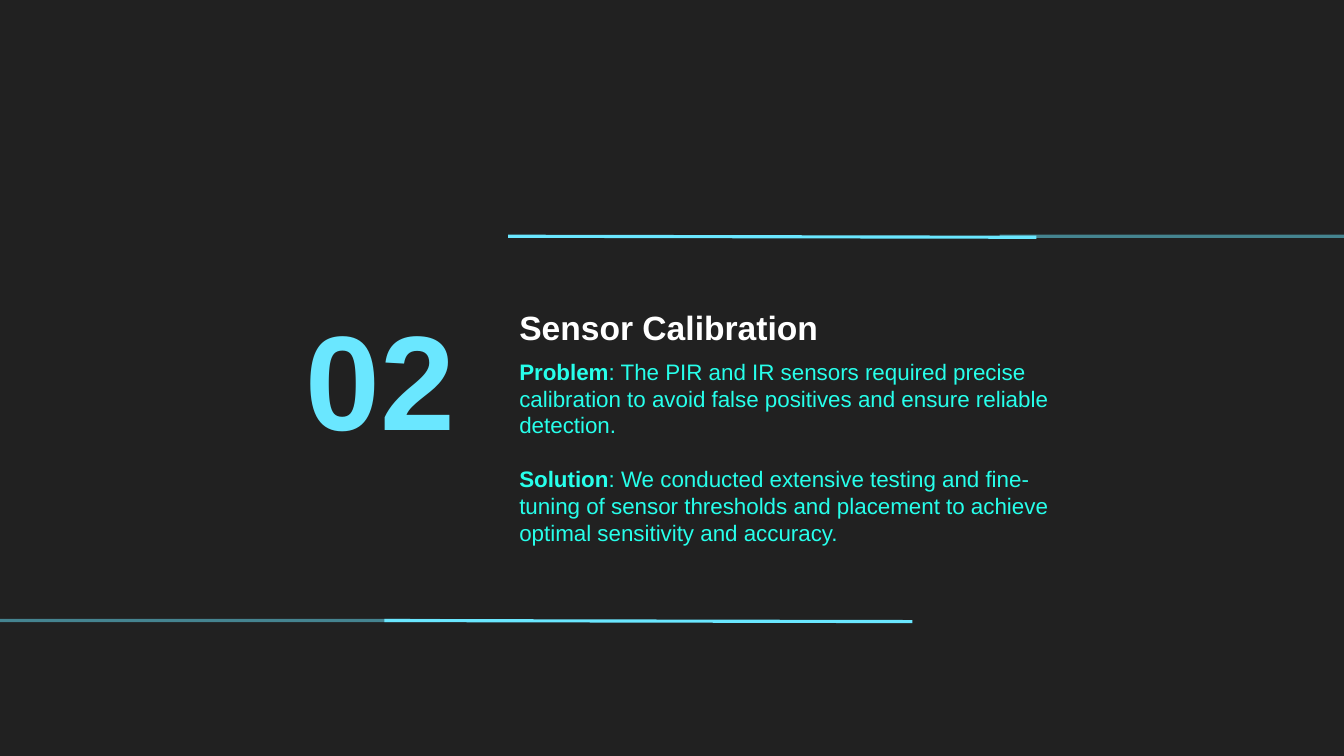
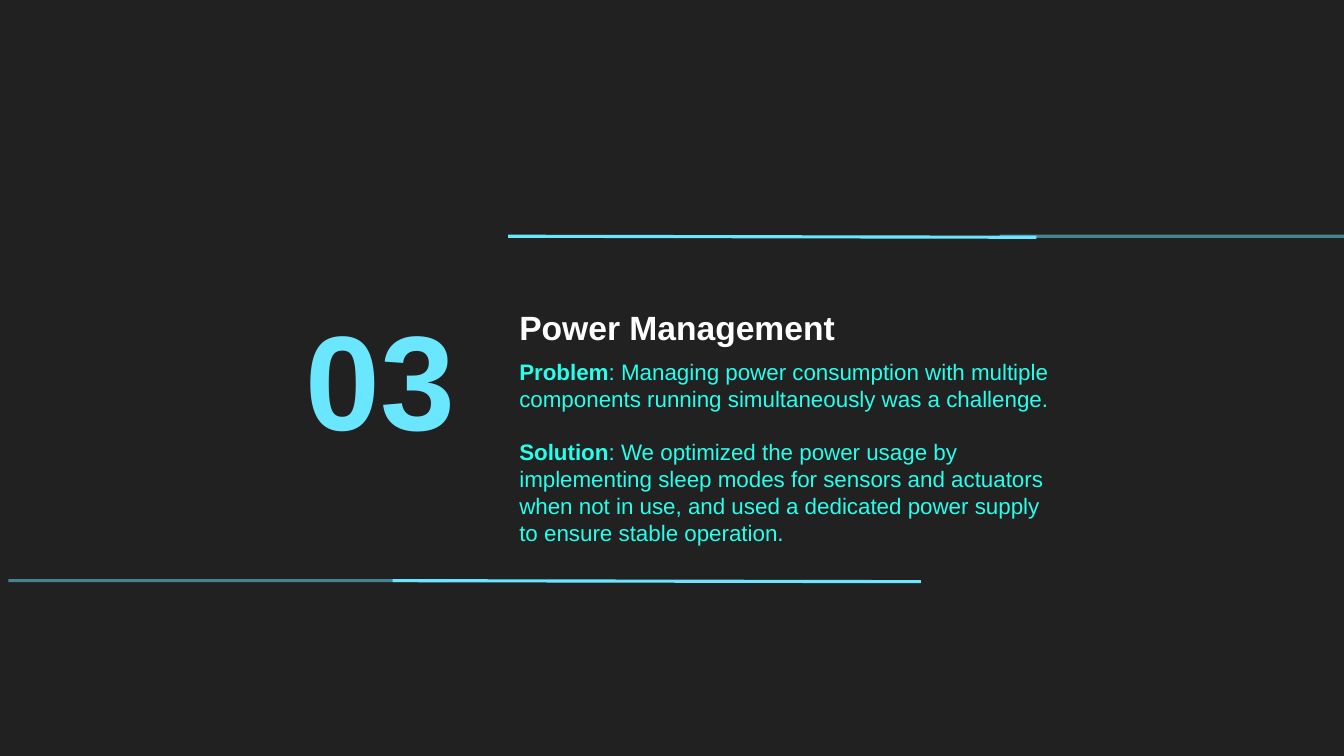
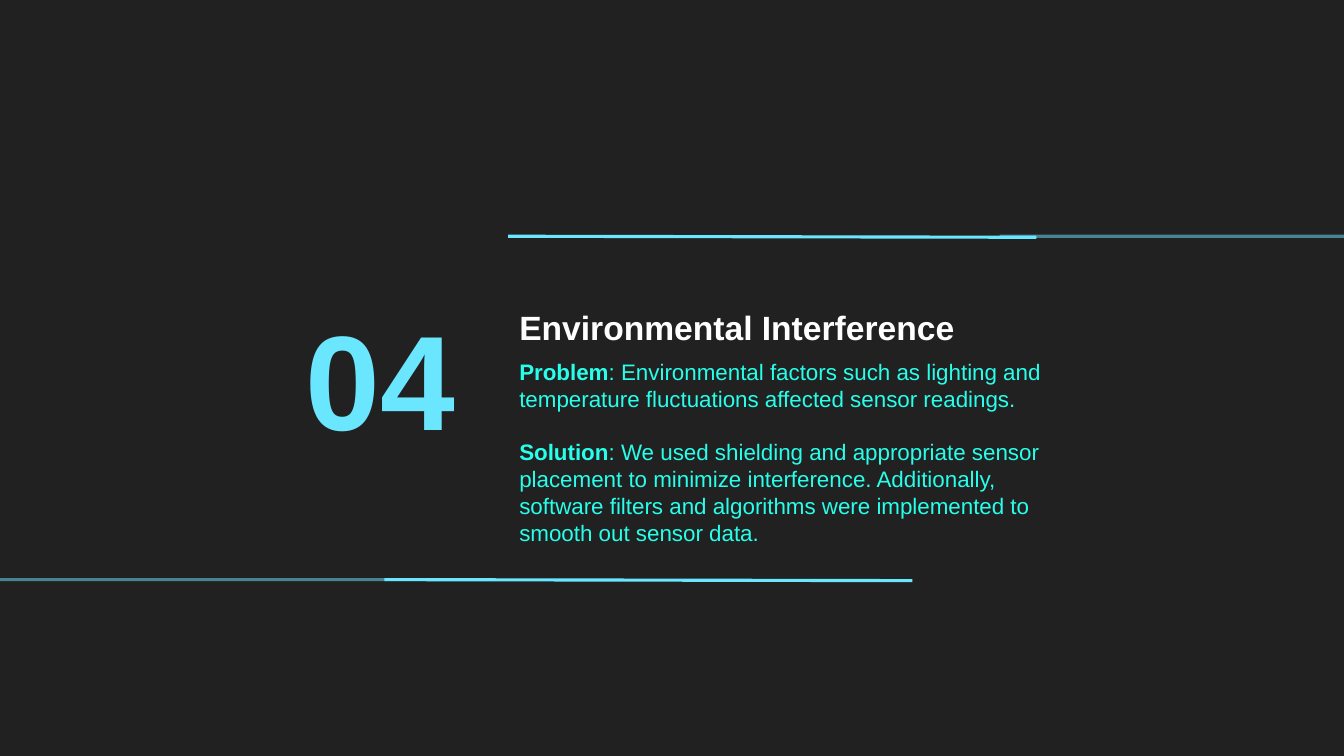
"""Build three challenge slides, each with a number, a title, a problem and a solution."""
import dataclasses
import typing

import lxml.etree
import pptx
import pptx.dml.color
import pptx.enum.shapes
import pptx.enum.text
import pptx.oxml.ns
import pptx.util

PX = 9525


@dataclasses.dataclass(frozen=True)
class Theme:
    background: str = "212121"
    accent: str = "6AE7FF"
    body: str = "27FFEB"
    title: str = "FFFFFF"
    font: str = "Arial"
    number_size: int = 96
    title_size: int = 24
    body_size: int = 16
    paragraph_gap: int = 19
    rule_width: float = 2.25
    faint_alpha: int = 50000


class Box(typing.NamedTuple):
    left: int
    top: int
    width: int
    height: int


class Rule(typing.NamedTuple):
    start: int
    end: int
    tilt: int = 0
    faint: bool = False


@dataclasses.dataclass(frozen=True)
class Challenge:
    number: str
    title: str
    problem: str
    solution: str
    lower_top: int
    lower_shift: int = 0
    title_width: int = 393


THEME = Theme()
SLIDE_WIDTH, SLIDE_HEIGHT = 1280, 720
TEXT_LEFT = 485
NUMBER_BOX = Box(260, 277, 183, 165)
BODY_BOX = Box(TEXT_LEFT, 336, 525, 191)
UPPER_TOP = 225
UPPER_RULES = (Rule(484, 987, tilt=1), Rule(952, SLIDE_WIDTH, faint=True))
LOWER_RULES = (Rule(0, 419, faint=True), Rule(366, 869, tilt=1))

CHALLENGES = (
    Challenge(
        "02",
        "Sensor Calibration",
        "The PIR and IR sensors required precise calibration to avoid false positives "
        "and ensure reliable detection.",
        "We conducted extensive testing and fine-tuning of sensor thresholds and "
        "placement to achieve optimal sensitivity and accuracy.",
        lower_top=591,
    ),
    Challenge(
        "03",
        "Power Management",
        "Managing power consumption with multiple components running simultaneously "
        "was a challenge.",
        "We optimized the power usage by implementing sleep modes for sensors and "
        "actuators when not in use, and used a dedicated power supply to ensure "
        "stable operation.",
        lower_top=553,
        lower_shift=8,
    ),
    Challenge(
        "04",
        "Environmental Interference",
        "Environmental factors such as lighting and temperature fluctuations affected "
        "sensor readings.",
        "We used shielding and appropriate sensor placement to minimize interference. "
        "Additionally, software filters and algorithms were implemented to smooth out "
        "sensor data.",
        lower_top=552,
        title_width=468,
    ),
)


def px(length: int) -> pptx.util.Emu:
    """Turn pixels into EMU."""
    return pptx.util.Emu(length * PX)


def rgb(color: str) -> pptx.dml.color.RGBColor:
    """Turn a hex string into a colour."""
    return pptx.dml.color.RGBColor.from_string(color)


def style_run(run, size: int, color: str, bold: bool = True) -> None:
    """Give a run its font, size, colour and weight."""
    run.font.name = THEME.font
    run.font.size = pptx.util.Pt(size)
    run.font.color.rgb = rgb(color)
    run.font.bold = bold


def place(shape, box: Box) -> None:
    """Move a text shape and let it wrap and grow from its top."""
    shape.left, shape.top, shape.width, shape.height = map(px, box)
    frame = shape.text_frame
    frame.word_wrap = True
    frame.auto_size = pptx.enum.text.MSO_AUTO_SIZE.SHAPE_TO_FIT_TEXT
    frame.vertical_anchor = pptx.enum.text.MSO_ANCHOR.TOP


def draw_rules(slide, rules: tuple[Rule, ...], top: int, shift: int = 0) -> None:
    """Draw a bright and a faint rule as one group."""
    group = slide.shapes.add_group_shape()
    for rule in rules:
        connector = group.shapes.add_connector(
            pptx.enum.shapes.MSO_CONNECTOR.STRAIGHT,
            px(rule.start + shift), px(top),
            px(rule.end + shift), px(top + rule.tilt),
        )
        connector.line.color.rgb = rgb(THEME.accent)
        connector.line.width = pptx.util.Pt(THEME.rule_width)
        properties = connector.element.spPr
        if rule.faint:
            color = properties.find(".//" + pptx.oxml.ns.qn("a:srgbClr"))
            alpha = lxml.etree.SubElement(color, pptx.oxml.ns.qn("a:alpha"))
            alpha.set("val", str(THEME.faint_alpha))
        lxml.etree.SubElement(properties, pptx.oxml.ns.qn("a:effectLst"))


def write_line(shape, text: str, size: int, color: str, alignment) -> None:
    """Write a single bold line."""
    shape.text_frame.text = text
    paragraph = shape.text_frame.paragraphs[0]
    paragraph.alignment = alignment
    style_run(paragraph.runs[0], size, color)


def write_body(body, challenge: Challenge) -> None:
    """Write the problem and the solution, each after a bold label."""
    frame = body.text_frame
    parts = (("Problem", challenge.problem), ("Solution", challenge.solution))
    for index, (label, statement) in enumerate(parts):
        paragraph = frame.add_paragraph() if index else frame.paragraphs[0]
        paragraph.text = label
        paragraph.add_run().text = f": {statement}"
        paragraph.alignment = pptx.enum.text.PP_ALIGN.LEFT
        paragraph.space_before = pptx.util.Pt(THEME.paragraph_gap * index)
        for run, bold in zip(paragraph.runs, (True, False)):
            style_run(run, THEME.body_size, THEME.body, bold)
        properties = paragraph._p.get_or_add_pPr()
        properties.set("marL", "0")
        properties.set("indent", "0")
        lxml.etree.SubElement(properties, pptx.oxml.ns.qn("a:buNone"))


def add_challenge(deck, challenge: Challenge) -> None:
    """Add the slide of one challenge."""
    slide = deck.slides.add_slide(deck.slide_layouts[1])
    draw_rules(slide, UPPER_RULES, UPPER_TOP)
    draw_rules(slide, LOWER_RULES, challenge.lower_top, challenge.lower_shift)
    align = pptx.enum.text.PP_ALIGN

    number = slide.shapes.add_textbox(*map(px, NUMBER_BOX))
    place(number, NUMBER_BOX)
    write_line(number, challenge.number, THEME.number_size, THEME.accent, align.RIGHT)

    title = slide.shapes.title
    place(title, Box(TEXT_LEFT, 287, challenge.title_width, 48))
    write_line(title, challenge.title, THEME.title_size, THEME.title, align.LEFT)

    body = slide.placeholders[1]
    place(body, BODY_BOX)
    write_body(body, challenge)


def main() -> None:
    """Build and save the deck."""
    deck = pptx.Presentation()
    deck.slide_width, deck.slide_height = px(SLIDE_WIDTH), px(SLIDE_HEIGHT)
    background = deck.slide_master.background.fill
    background.solid()
    background.fore_color.rgb = rgb(THEME.background)
    for challenge in CHALLENGES:
        add_challenge(deck, challenge)
    deck.save("out.pptx")


if __name__ == "__main__":
    main()
